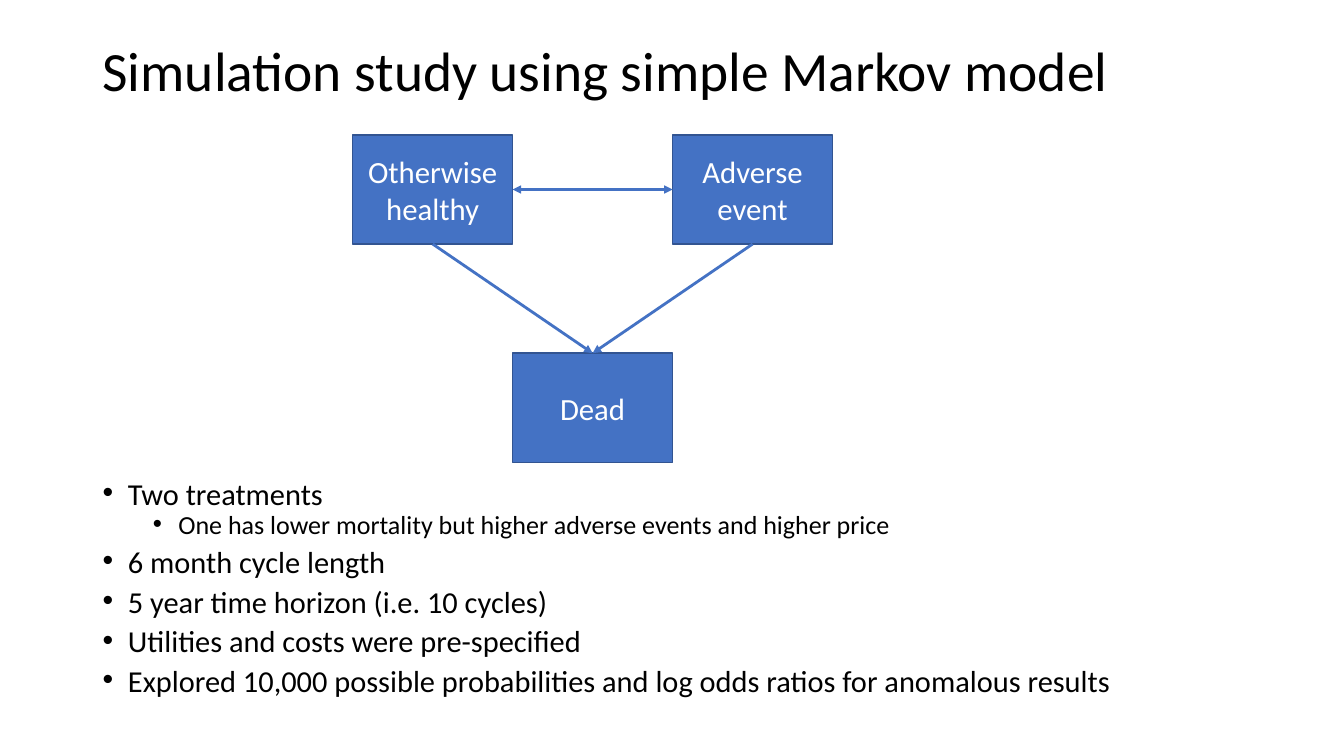
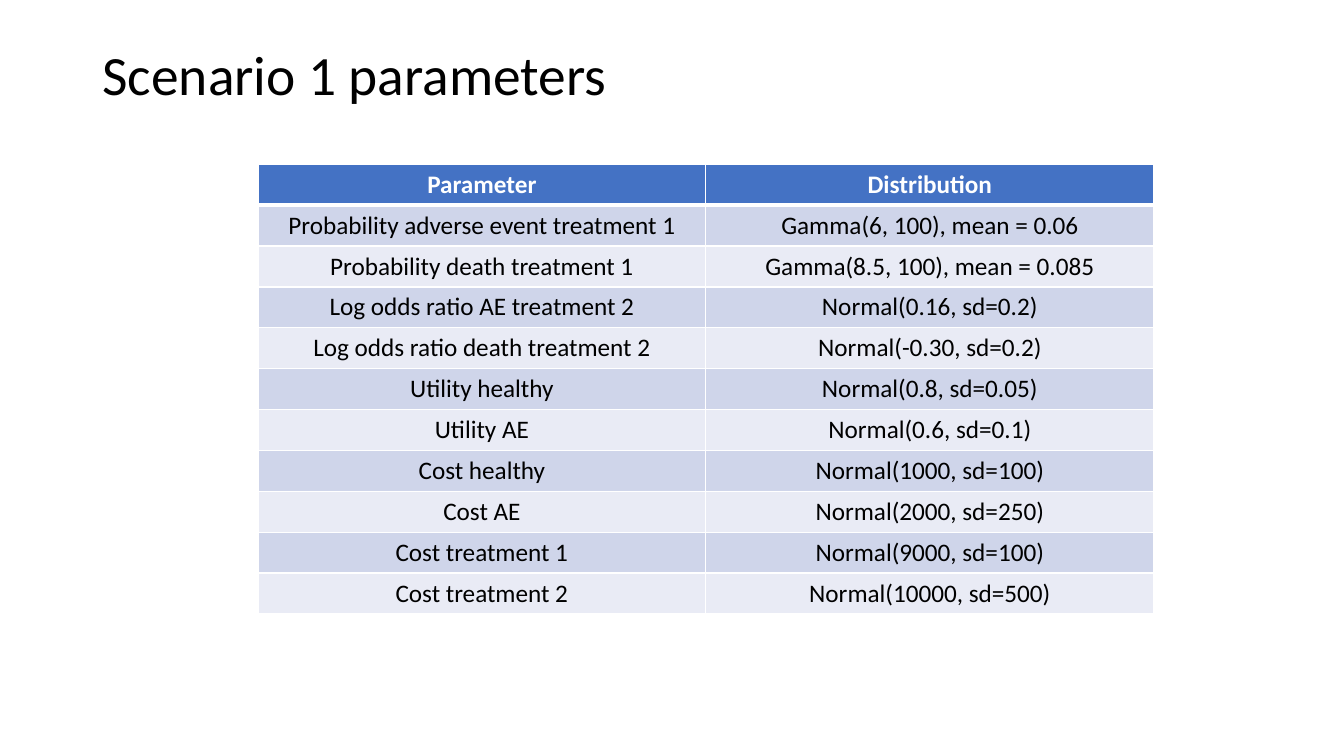
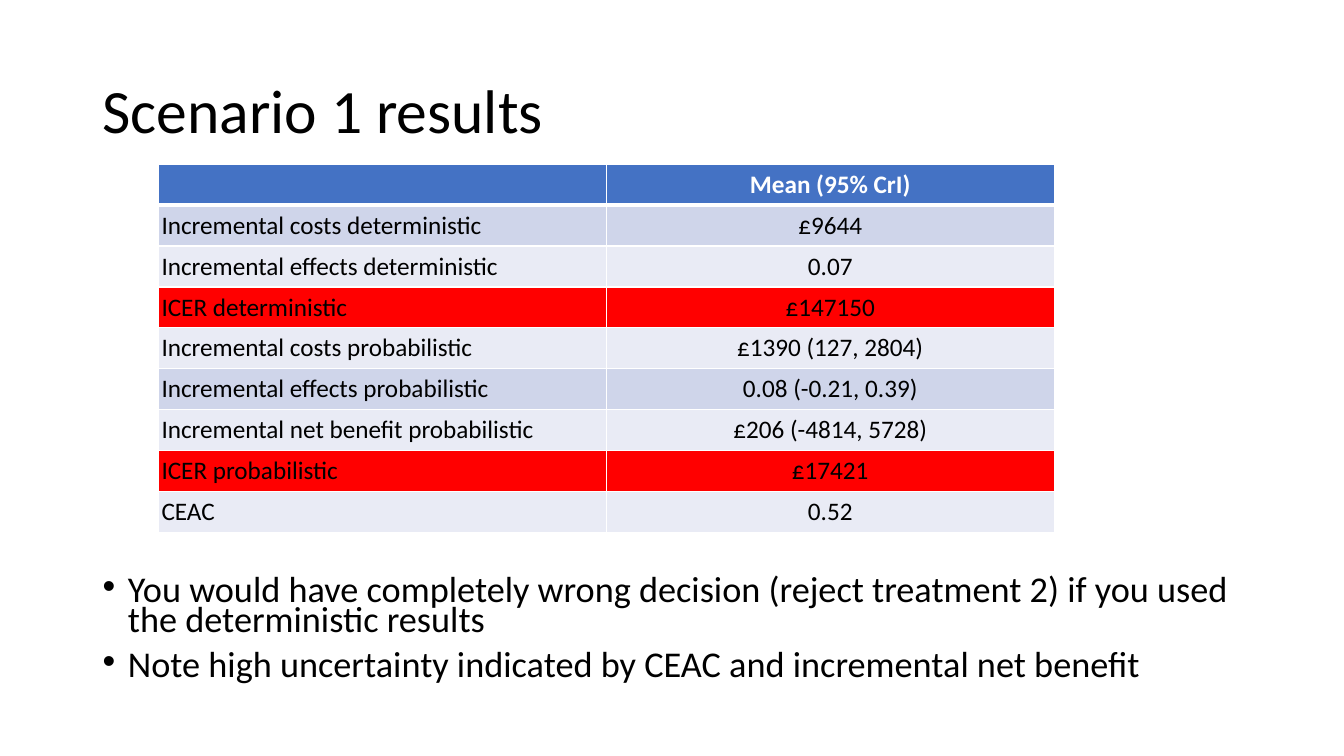
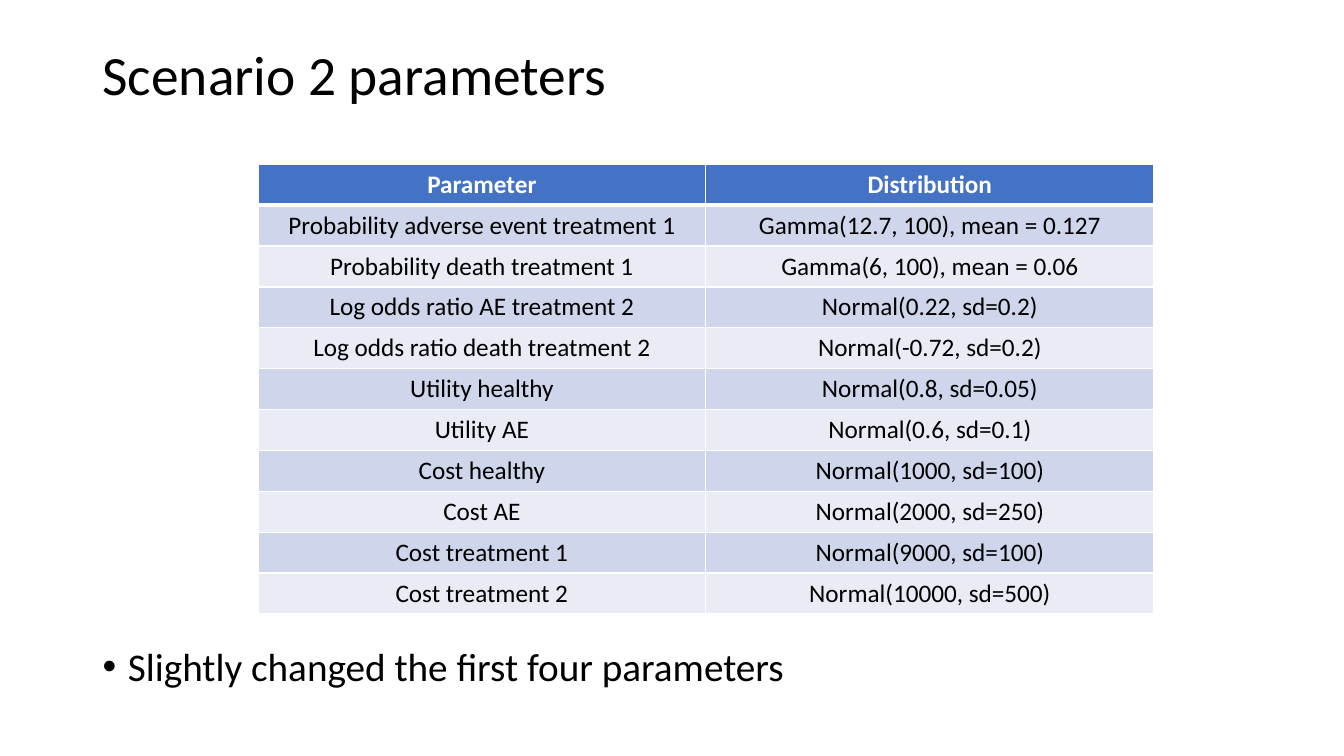
from lxml import etree
from pptx import Presentation
from pptx import util as u
from pptx.dml.color import RGBColor
from pptx.enum import shapes, text
from pptx.oxml import ns

BLACK = RGBColor(0x00, 0x00, 0x00)
WHITE = RGBColor(0xFF, 0xFF, 0xFF)
BLUE = RGBColor(0x44, 0x72, 0xC4)
DARK_BLUE = RGBColor(0x32, 0x54, 0x91)
BAND_DARK = RGBColor(0xCF, 0xD5, 0xEA)
BAND_LIGHT = RGBColor(0xE9, 0xEB, 0xF5)
RED = RGBColor(0xFF, 0x00, 0x00)

FONT = "Calibri"
LEFT, WIDTH = 2.33, 29.21           # title and list, cm
TABLE_TOP, COLUMN, ROW = 4.14, 11.29, 1.03
BOX_WIDTH, BOX_HEIGHT = 4.03, 2.75
TOP_SIDE, LEFT_SIDE, BOTTOM_SIDE, RIGHT_SIDE = range(4)


class Deck:
    """Holds the style and the current slide."""

    def __init__(self):
        self.deck = Presentation()
        self.deck.slide_width, self.deck.slide_height = u.Cm(33.87), u.Cm(19.05)
        self.page = None

    @staticmethod
    def style(para, size, color=BLACK, align=text.PP_ALIGN.LEFT, bold=False):
        para.alignment = align
        para.font.name, para.font.size, para.font.bold = FONT, u.Pt(size), bold
        para.font.color.rgb = color

    @staticmethod
    def place(holder, top, height):
        holder.left, holder.top = u.Cm(LEFT), u.Cm(top)
        holder.width, holder.height = u.Cm(WIDTH), u.Cm(height)
        holder.text_frame.auto_size = text.MSO_AUTO_SIZE.NONE

    def slide(self, title, height=1.88, size=39.6, has_list=True):
        layout = self.deck.slide_layouts[1 if has_list else 5]
        self.page = self.deck.slides.add_slide(layout)
        holder = self.page.shapes.title
        self.place(holder, 1.01, height)
        holder.text_frame.vertical_anchor = text.MSO_ANCHOR.MIDDLE
        para = holder.text_frame.paragraphs[0]
        para.text, para.line_spacing = title, 0.9
        self.style(para, size)

    def bullets(self, items, top, height, sizes, spacing=0.7):
        """Items are (level, wording); sizes has one entry a level."""
        holder = self.page.placeholders[1]
        self.place(holder, top, height)
        frame = holder.text_frame
        frame.text = "\n".join(wording for _, wording in items)
        for para, (level, _) in zip(frame.paragraphs, items):
            para.level = level
            props = para._p.get_or_add_pPr()
            props.set("marL", str(u.Cm(0.64 + 1.27 * level)))
            props.set("indent", str(u.Cm(-0.64)))
            etree.SubElement(props, ns.qn("a:buChar"), char="•")
            para.line_spacing = spacing
            para.space_before = u.Pt(5 if level else 10)
            self.style(para, sizes[level])

    def box(self, wording, left, top):
        box = self.page.shapes.add_shape(
            shapes.MSO_SHAPE.RECTANGLE, u.Cm(left), u.Cm(top),
            u.Cm(BOX_WIDTH), u.Cm(BOX_HEIGHT))
        box.shadow.inherit = False
        box.fill.solid()
        box.fill.fore_color.rgb = BLUE
        box.line.color.rgb, box.line.width = DARK_BLUE, u.Pt(1)
        box.text_frame.word_wrap = True
        box.text_frame.vertical_anchor = text.MSO_ANCHOR.MIDDLE
        para = box.text_frame.paragraphs[0]
        para.text = wording
        self.style(para, 22, WHITE, text.PP_ALIGN.CENTER)
        return box

    def arrow(self, start, start_side, end, end_side, both=False):
        arrow = self.page.shapes.add_connector(
            shapes.MSO_CONNECTOR.STRAIGHT, 0, 0, 0, 0)
        arrow.begin_connect(start, start_side)
        arrow.end_connect(end, end_side)
        arrow.line.color.rgb, arrow.line.width = BLUE, u.Pt(2)
        line = arrow.line._get_or_add_ln()
        for tag in ["a:headEnd", "a:tailEnd"] if both else ["a:tailEnd"]:
            etree.SubElement(line, ns.qn(tag), type="triangle")
        etree.SubElement(arrow._element.spPr, ns.qn("a:effectLst"))

    @staticmethod
    def borders(cell, top, bottom):
        """White cell borders; they stand before the fill."""
        props = cell._tc.get_or_add_tcPr()
        widths = {"a:lnL": 1, "a:lnR": 1, "a:lnT": top, "a:lnB": bottom}
        for place, (tag, width) in enumerate(widths.items()):
            line = etree.Element(ns.qn(tag), w=str(u.Pt(width)))
            fill = etree.SubElement(line, ns.qn("a:solidFill"))
            etree.SubElement(fill, ns.qn("a:srgbClr"), val=str(WHITE))
            props.insert(place, line)

    def table(self, rows, left, red_rows=(), labels_left=False):
        count = len(rows)
        grid = self.page.shapes.add_table(
            count, 2, u.Cm(left), u.Cm(TABLE_TOP),
            u.Cm(2 * COLUMN), u.Cm(count * ROW)).table
        for r, row in enumerate(rows):
            grid.rows[r].height = u.Cm(ROW)
            band = BAND_DARK if r % 2 else BAND_LIGHT
            color = BLUE if r == 0 else RED if r in red_rows else band
            for c, wording in enumerate(row):
                cell = grid.cell(r, c)
                cell.fill.solid()
                cell.fill.fore_color.rgb = color
                self.borders(cell, 3 if r == 1 else 1, 3 if r == 0 else 1)
                align = text.PP_ALIGN.CENTER
                if labels_left and r:
                    cell.vertical_anchor = text.MSO_ANCHOR.MIDDLE
                    side, edge = (0.03, 0.01) if c else (0.08, 0.05)
                    cell.margin_left = cell.margin_right = u.Cm(side)
                    cell.margin_top = cell.margin_bottom = u.Cm(edge)
                    align = align if c else text.PP_ALIGN.LEFT
                para = cell.text_frame.paragraphs[0]
                if wording:
                    para.text = wording
                self.style(para, 18, BLACK if r else WHITE, align, r == 0)

    def parameters(self, first_four):
        """Table of distributions; the scenarios differ in four of them."""
        labels = ["Parameter", "Probability adverse event treatment 1",
                  "Probability death treatment 1", "Log odds ratio AE treatment 2",
                  "Log odds ratio death treatment 2", "Utility healthy", "Utility AE",
                  "Cost healthy", "Cost AE", "Cost treatment 1", "Cost treatment 2"]
        shared = ["Normal(0.8, sd=0.05)", "Normal(0.6, sd=0.1)",
                  "Normal(1000, sd=100)", "Normal(2000, sd=250)",
                  "Normal(9000, sd=100)", "Normal(10000, sd=500)"]
        values = ["Distribution"] + first_four + shared
        self.table(list(zip(labels, values)), 6.5)


def main():
    show = Deck()

    # Markov model
    show.slide("Simulation study using simple Markov model", height=1.68)
    show.bullets([
        (0, "Two treatments"),
        (1, "One has lower mortality but higher adverse events and higher price"),
        (0, "6 month cycle length"),
        (0, "5 year time horizon (i.e. 10 cycles)"),
        (0, "Utilities and costs were pre-specified"),
        (0, "Explored 10,000 possible probabilities and log odds ratios "
            "for anomalous results"),
    ], 12.09, 5.66, [21.7, 18.6])
    left, top = 8.89, 3.4
    healthy = show.box("Otherwise healthy", left, top)
    adverse = show.box("Adverse event", left + 2 * BOX_WIDTH, top)
    dead = show.box("Dead", left + BOX_WIDTH, top + 2 * BOX_HEIGHT)
    show.arrow(healthy, BOTTOM_SIDE, dead, TOP_SIDE)
    show.arrow(adverse, BOTTOM_SIDE, dead, TOP_SIDE)
    show.arrow(healthy, RIGHT_SIDE, adverse, LEFT_SIDE, both=True)

    # Scenario 1 parameters
    show.slide("Scenario 1 parameters", has_list=False)
    show.parameters(["Gamma(6, 100), mean = 0.06", "Gamma(8.5, 100), mean = 0.085",
                     "Normal(0.16, sd=0.2)", "Normal(-0.30, sd=0.2)"])

    # Scenario 1 results
    show.slide("Scenario 1 results", height=3.68, size=44)
    show.bullets([
        (0, "You would have completely wrong decision (reject treatment 2) "
            "if you used the deterministic results"),
        (0, "Note high uncertainty indicated by CEAC and incremental net benefit"),
    ], 14.43, 3.1, [25.9])
    show.table([
        ("", "Mean (95% CrI)"),
        ("Incremental costs deterministic", "£9644"),
        ("Incremental effects deterministic", "0.07"),
        ("ICER deterministic", "£147150"),
        ("Incremental costs probabilistic", "£1390 (127, 2804)"),
        ("Incremental effects probabilistic", "0.08 (-0.21, 0.39)"),
        ("Incremental net benefit probabilistic", "£206 (-4814, 5728)"),
        ("ICER probabilistic", "£17421"),
        ("CEAC", "0.52"),
    ], 3.99, red_rows=(3, 7), labels_left=True)

    # Scenario 2 parameters
    show.slide("Scenario 2 parameters")
    show.bullets([(0, "Slightly changed the first four parameters")],
                 16.18, 2.03, [28], spacing=0.9)
    show.parameters(["Gamma(12.7, 100), mean = 0.127", "Gamma(6, 100), mean = 0.06",
                     "Normal(0.22, sd=0.2)", "Normal(-0.72, sd=0.2)"])

    show.deck.save("out.pptx")


if __name__ == "__main__":
    main()
